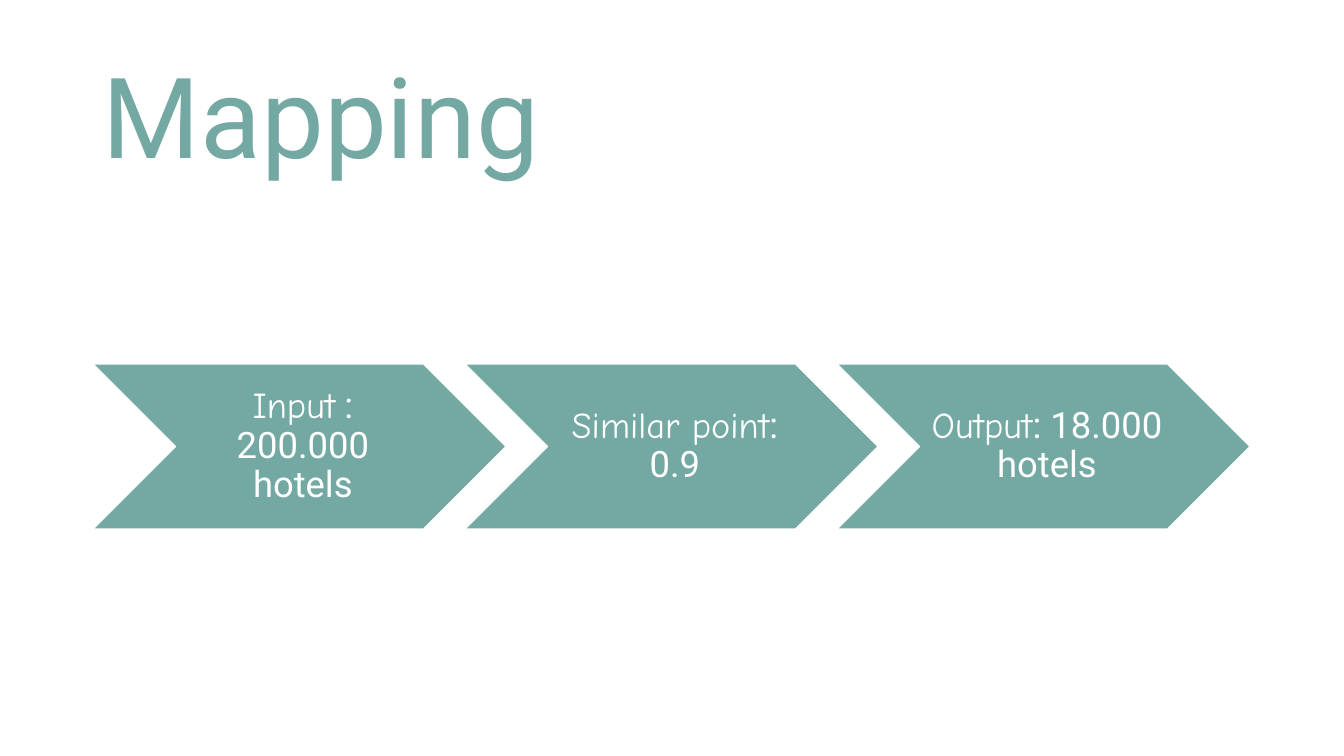
from dataclasses import dataclass

from pptx import Presentation
from pptx.dml.color import RGBColor
from pptx.enum.shapes import MSO_SHAPE
from pptx.enum.text import MSO_ANCHOR, PP_ALIGN
from pptx.util import Inches, Pt

TITLE = "Mapping"
STEPS = [
    ("Input", " : 200.000 hotels"),
    ("Similar point", ": 0.9"),
    ("Output", ": 18.000 hotels"),
]


@dataclass(frozen=True)
class Theme:
    teal: RGBColor = RGBColor(0x74, 0xA9, 0xA3)
    white: RGBColor = RGBColor(0xFF, 0xFF, 0xFF)
    font: str = "Roboto"
    label_font: str = "Comic Neue"
    title_size: int = 80
    step_size: int = 26


THEME = Theme()
SLIDE_W, SLIDE_H = 13.33, 7.5
LEFT = 0.92
TITLE_TOP, TITLE_W, TITLE_H = 0.4, SLIDE_W - 2 * LEFT, 1.45
STEP_TOP, STEP_W = 3.61, 4.1
STEP_H = 0.4 * STEP_W
STEP_PITCH = 0.9 * STEP_W


def write(s, runs, size, color, align=PP_ALIGN.LEFT, spacing=1.0,
          insets=(0.1, 0.05, 0.1, 0.05)):
    tf = s.text_frame
    tf.word_wrap = True
    tf.vertical_anchor = MSO_ANCHOR.MIDDLE
    tf.margin_left, tf.margin_top, tf.margin_right, tf.margin_bottom = map(Inches, insets)
    p = tf.paragraphs[0]
    p.alignment = align
    p.line_spacing = spacing
    for text, font in runs:
        r = p.add_run()
        r.text = text
        r.font.name = font
        r.font.size = Pt(size)
        r.font.color.rgb = color


def add_step(shapes, column, label, value):
    s = shapes.add_shape(MSO_SHAPE.CHEVRON, Inches(LEFT + column * STEP_PITCH),
                         Inches(STEP_TOP), Inches(STEP_W), Inches(STEP_H))
    s.shadow.inherit = False
    s.fill.solid()
    s.fill.fore_color.rgb = THEME.teal
    s.line.color.rgb = THEME.white
    s.line.width = Pt(1)
    write(s, [(label, THEME.label_font), (value, THEME.font)], THEME.step_size,
          THEME.white, align=PP_ALIGN.CENTER, spacing=0.9,
          insets=(0.11, 0.04, 0.04, 0.04))


def main():
    prs = Presentation()
    prs.slide_width, prs.slide_height = Inches(SLIDE_W), Inches(SLIDE_H)
    shapes = prs.slides.add_slide(prs.slide_layouts[6]).shapes
    title = shapes.add_textbox(Inches(LEFT), Inches(TITLE_TOP),
                               Inches(TITLE_W), Inches(TITLE_H))
    write(title, [(TITLE, THEME.font)], THEME.title_size, THEME.teal)
    for column, (label, value) in enumerate(STEPS):
        add_step(shapes, column, label, value)
    prs.save("out.pptx")


if __name__ == "__main__":
    main()
